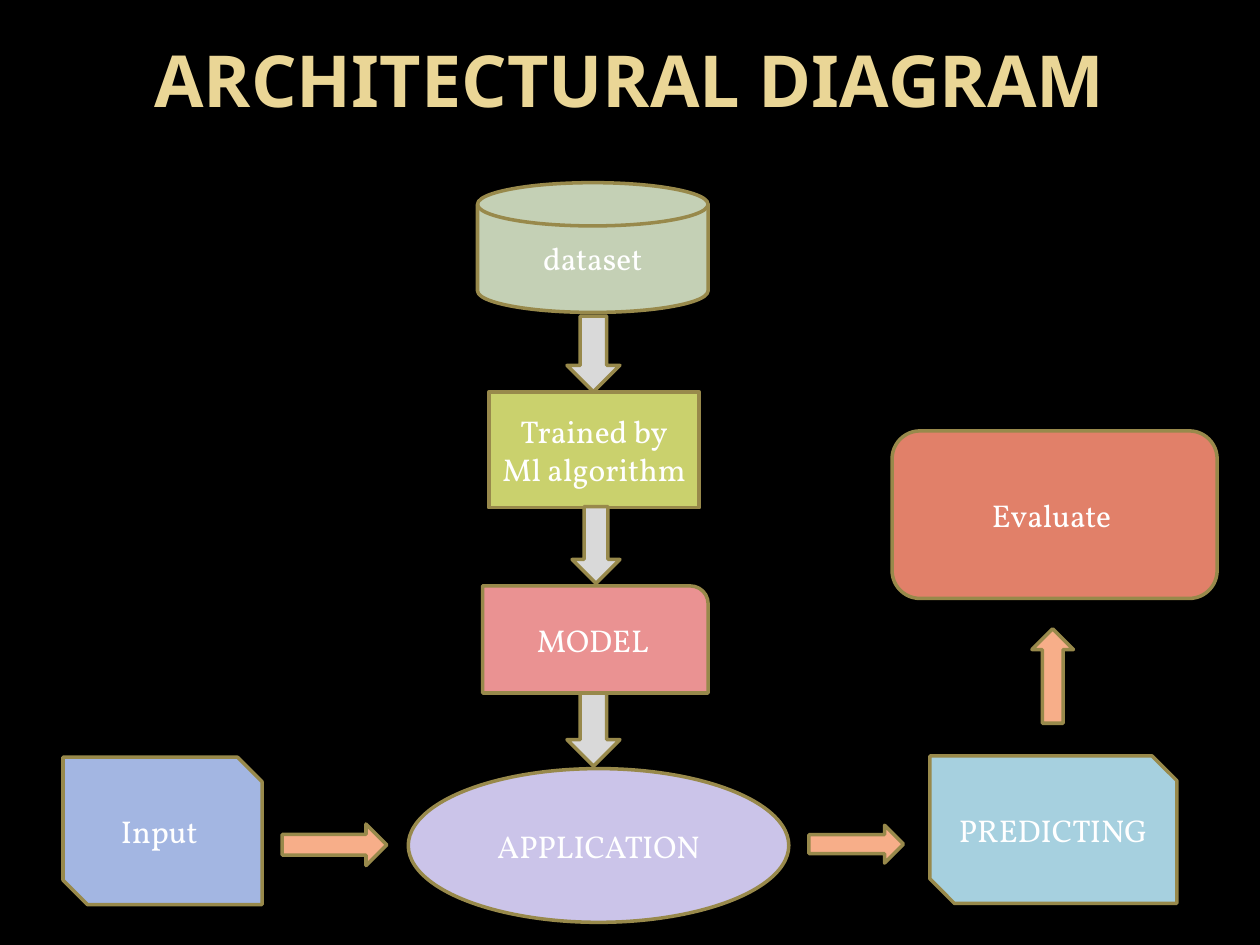
from pptx import Presentation
from pptx.dml.color import RGBColor
from pptx.enum import shapes, text
from pptx.util import Inches, Pt

SHAPE = shapes.MSO_SHAPE
OUTLINE = "98894B"
TRAINING_ARROW = "D9D9D9"
PREDICTION_ARROW = "F7AE89"
TITLE_FONT = {"name": "Noto Sans", "size": Pt(41), "bold": True}
LABEL_FONT = {"name": "Vollkorn", "size": Pt(18)}
LABEL_FRAME = {
    "word_wrap": True,
    "vertical_anchor": text.MSO_ANCHOR.MIDDLE,
    "margin_left": Inches(0.05),
    "margin_right": Inches(0.05),
}


def paint(color_format, value):
    color_format.rgb = RGBColor.from_string(value)


def assign(target, values):
    for attribute, value in values.items():
        setattr(target, attribute, value)


def place(element, box):
    sides = ("left", "top", "width", "height")
    assign(element, dict(zip(sides, map(Inches, box))))


class Diagram:
    def __init__(self, slide):
        self.slide = slide
        slide.background.fill.solid()
        paint(slide.background.fill.fore_color, "000000")

    def label(self, frame, lines, font, color):
        assign(frame, LABEL_FRAME)
        frame.text = "\n".join(lines)
        for paragraph in frame.paragraphs:
            paragraph.alignment = text.PP_ALIGN.CENTER
            for run in paragraph.runs:
                assign(run.font, font)
                paint(run.font.color, color)

    def title(self, wording, box):
        heading = self.slide.shapes.title
        place(heading, box)
        self.label(heading.text_frame, [wording], TITLE_FONT, "EAD696")

    def block(self, preset, box, color):
        block = self.slide.shapes.add_shape(preset, *map(Inches, box))
        block.shadow.inherit = False
        block.fill.solid()
        paint(block.fill.fore_color, color)
        paint(block.line.color, OUTLINE)
        block.line.width = Pt(2)
        return block

    def stage(self, preset, box, color, *lines):
        self.label(self.block(preset, box, color).text_frame, lines, LABEL_FONT, "FFFFFF")

    def arrow(self, preset, box, color, rotation=0):
        self.block(preset, box, color).rotation = rotation


def main():
    deck = Presentation()
    assign(deck, {"slide_width": Inches(10), "slide_height": Inches(7.5)})
    diagram = Diagram(deck.slides.add_slide(deck.slide_layouts[5]))
    diagram.title("ARCHITECTURAL DIAGRAM", (0.5, 0, 9, 1.25))

    stages = [
        (SHAPE.FLOWCHART_MAGNETIC_DISK, (3.79, 1.45, 1.83, 1.03), "C4D0B5", "dataset"),
        (SHAPE.RECTANGLE, (3.88, 3.11, 1.67, 0.92), "CAD16D", "Trained by", "Ml algorithm"),
        (SHAPE.SNIP_2_DIAG_RECTANGLE, (0.5, 6.01, 1.58, 1.17), "A3B6E2", "Input "),
        (SHAPE.OVAL, (3.24, 6.1, 3.02, 1.22), "CBC4E9", "APPLICATION"),
        (SHAPE.ROUND_1_RECTANGLE, (3.83, 4.65, 1.79, 0.85), "EA9292", "MODEL"),
        (SHAPE.FLOWCHART_ALTERNATE_PROCESS, (7.08, 3.42, 2.58, 1.33), "E18069", "Evaluate "),
        (SHAPE.SNIP_2_DIAG_RECTANGLE, (7.38, 6, 1.96, 1.17), "A6D0DF", "PREDICTING"),
    ]
    for stage in stages:
        diagram.stage(*stage)

    for box in [(4.5, 2.51, 0.42, 0.6), (4.54, 4.02, 0.38, 0.61), (4.5, 5.5, 0.42, 0.58)]:
        diagram.arrow(SHAPE.DOWN_ARROW, box, TRAINING_ARROW)

    prediction_arrows = [
        ((2.24, 6.54, 0.83, 0.33), 0),
        ((6.42, 6.55, 0.75, 0.3), 0),
        ((7.98, 5.2, 0.75, 0.33), 270),
    ]
    for box, rotation in prediction_arrows:
        diagram.arrow(SHAPE.RIGHT_ARROW, box, PREDICTION_ARROW, rotation)

    deck.save("out.pptx")


if __name__ == "__main__":
    main()
